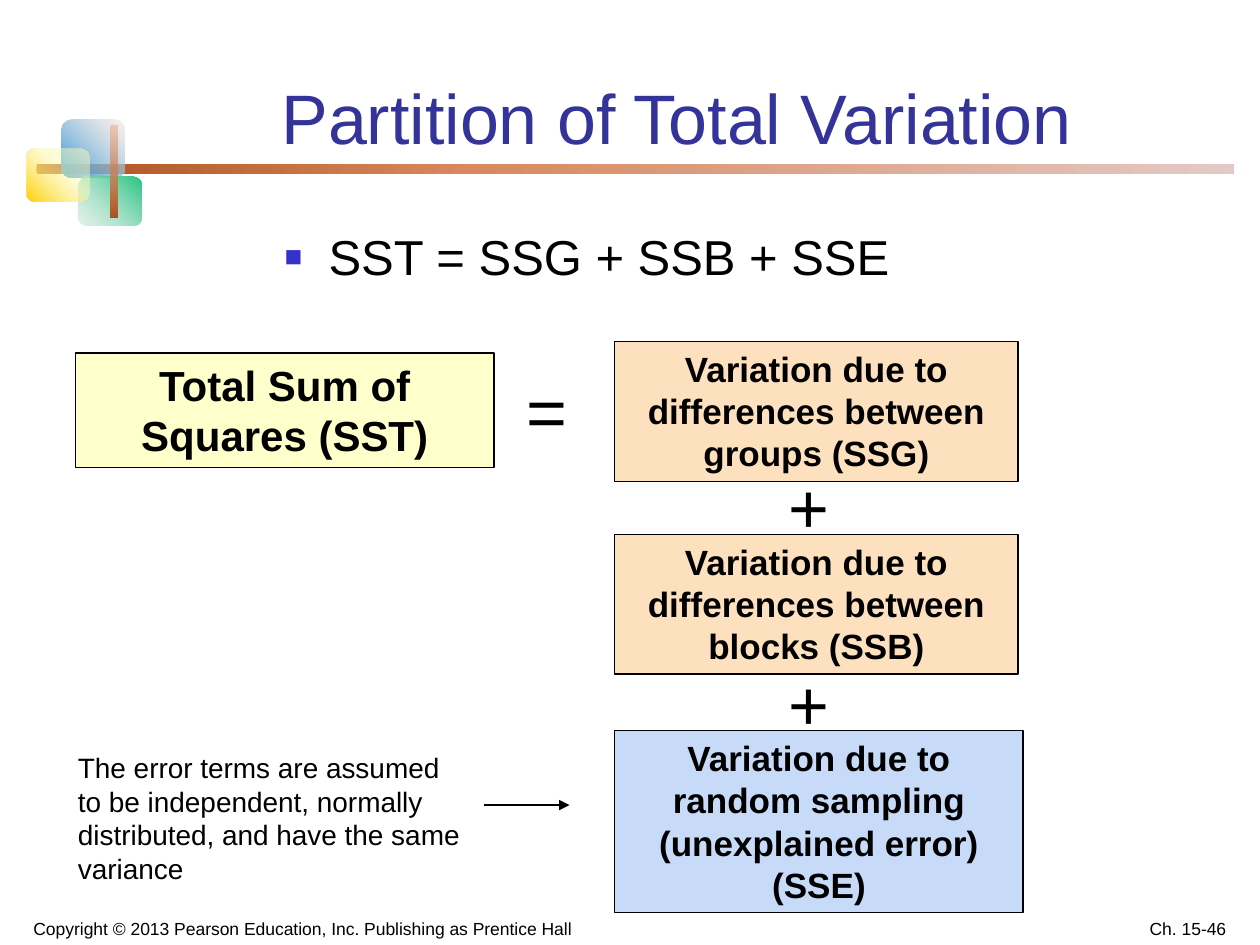
from lxml.etree import SubElement
from pptx import Presentation
from pptx.dml.color import RGBColor
from pptx.enum.shapes import MSO_CONNECTOR, MSO_SHAPE
from pptx.enum.text import MSO_ANCHOR, PP_ALIGN
from pptx.oxml import parse_xml
from pptx.oxml.ns import nsdecls, qn
from pptx.util import Inches, Pt

BLACK = RGBColor(0x00, 0x00, 0x00)
INDIGO = RGBColor(0x33, 0x33, 0x99)
BLUE = RGBColor(0x33, 0x33, 0xCC)
PEACH = RGBColor(0xFD, 0xE0, 0xBD)
SKY = RGBColor(0xC7, 0xDA, 0xF7)
CREAM = RGBColor(0xFF, 0xFF, 0xCC)
RUST = RGBColor(0xAE, 0x51, 0x1E)
CLAY = RGBColor(0xD8, 0x8A, 0x5E)
ROSE = RGBColor(0xE4, 0xC9, 0xC6)
AZURE = RGBColor(0x28, 0x95, 0xD8)
SHELL = RGBColor(0xF7, 0xE2, 0xD9)
GREEN = RGBColor(0x25, 0xC5, 0x80)
MIST = RGBColor(0xCC, 0xE2, 0xD9)
GOLD = RGBColor(0xFF, 0xCF, 0x01)
LEMON = RGBColor(0xFC, 0xFC, 0xBC)
CORAL = RGBColor(0xEA, 0xA7, 0x82)


def place(box):
    return [Inches(n) for n in box]


def write(shape, text, size, color=BLACK, align=PP_ALIGN.LEFT,
          anchor=MSO_ANCHOR.TOP, bold=False):
    frame = shape.text_frame
    frame.text = text
    frame.word_wrap = True
    frame.vertical_anchor = anchor
    para = frame.paragraphs[0]
    para.alignment = align
    font = para.runs[0].font
    font.name = "Arial"
    font.size = Pt(size)
    font.bold = bold
    font.color.rgb = color
    return para


def add_text(slide, box, text, size, **style):
    return write(slide.shapes.add_textbox(*place(box)), text, size, **style)


def add_box(slide, box, text, size, fill, width=0.75):
    shape = slide.shapes.add_shape(MSO_SHAPE.RECTANGLE, *place(box))
    shape.shadow.inherit = False
    shape.fill.solid()
    shape.fill.fore_color.rgb = fill
    shape.line.color.rgb = BLACK
    shape.line.width = Pt(width)
    write(shape, text, size, align=PP_ALIGN.CENTER, bold=True)


def add_blend(group, box, angle, stops):
    shape = group.shapes.add_shape(MSO_SHAPE.ROUNDED_RECTANGLE, *place(box))
    shape.shadow.inherit = False
    shape.line.fill.background()
    grad = parse_xml(f'<a:gradFill {nsdecls("a")} rotWithShape="1"/>')
    items = SubElement(grad, qn("a:gsLst"))
    for pos, color, alpha in stops:
        stop = SubElement(items, qn("a:gs"), pos=str(pos * 1000))
        tint = SubElement(stop, qn("a:srgbClr"), val=str(color))
        if alpha < 100:
            SubElement(tint, qn("a:alpha"), val=str(alpha * 1000))
    SubElement(grad, qn("a:lin"), ang=str(angle * 60000), scaled="0")
    shape._element.spPr.find(qn("a:prstGeom")).addnext(grad)


def add_motif(slide):
    group = slide.shapes.add_group_shape()
    add_blend(group, (0.29, 1.3, 9.5, 0.08), 0,
              [(0, RUST, 100), (37, CLAY, 100), (100, ROSE, 100)])
    tiles = [
        ((0.49, 0.95, 0.5, 0.46), 315, AZURE, 100, SHELL),
        ((0.62, 1.4, 0.5, 0.39), 135, GREEN, 100, MIST),
        ((0.21, 1.18, 0.5, 0.42), 315, GOLD, 63, LEMON),
        ((0.88, 1, 0.05, 0.73), 270, RUST, 100, CORAL),
    ]
    for box, angle, start, pos, end in tiles:
        add_blend(group, box, angle, [(0, start, 100), (pos, end, 50)])


def add_bullet(para):
    props = para._p.get_or_add_pPr()
    props.set("marL", str(Inches(0.35)))
    props.set("indent", str(-Inches(0.35)))
    tint = SubElement(props, qn("a:buClr"))
    SubElement(tint, qn("a:srgbClr"), val=str(BLUE))
    SubElement(props, qn("a:buSzPct"), val="60000")
    SubElement(props, qn("a:buFont"), typeface="Arial")
    SubElement(props, qn("a:buChar"), char="■")


def add_arrow(slide, left, right, y):
    arrow = slide.shapes.add_connector(
        MSO_CONNECTOR.STRAIGHT, *place((left, y, right, y)))
    arrow.line.color.rgb = BLACK
    arrow.line.width = Pt(0.75)
    SubElement(arrow.line._get_or_add_ln(), qn("a:tailEnd"), type="triangle")
    SubElement(arrow._element.spPr, qn("a:effectLst"))


def main():
    deck = Presentation()
    deck.slide_width, deck.slide_height = Inches(10), Inches(7.5)
    slide = deck.slides.add_slide(deck.slide_layouts[6])

    add_motif(slide)
    title = add_text(slide, (1.5, 0.23, 7.74, 1.08),
                     "Partition of Total Variation", 40, color=INDIGO,
                     align=PP_ALIGN.CENTER, anchor=MSO_ANCHOR.BOTTOM)
    title.line_spacing = 1.1
    add_bullet(add_text(slide, (2.16, 1.75, 5.12, 0.56),
                        "SST = SSG + SSB + SSE", 28))

    add_box(slide, (0.6, 2.8, 3.32, 0.91), "Total Sum of Squares (SST)",
            24, CREAM, 1)
    parts = [
        (2.71, 3.2, 1.11, PEACH,
         "Variation due to differences between groups (SSG)"),
        (4.24, 3.2, 1.11, PEACH,
         "Variation due to differences between blocks (SSB)"),
        (5.8, 3.24, 1.44, SKY,
         "Variation due to random sampling (unexplained error) (SSE)"),
    ]
    for top, width, height, fill, text in parts:
        add_box(slide, (4.88, top, width, height), text, 20, fill)
    for left, top, sign in [(4.08, 2.87, "="), (6.16, 3.63, "+"),
                            (6.16, 5.19, "+")]:
        add_text(slide, (left, top, 0.91, 0.76), sign, 40)

    add_text(slide, (0.52, 5.91, 3.28, 1.17),
             "The error terms are assumed to be independent, normally "
             "distributed, and have the same variance", 16)
    add_arrow(slide, 3.84, 4.52, 6.39)

    add_text(slide, (0, 7.15, 4.8, 0.35),
             "Copyright © 2013 Pearson Education, Inc. "
             "Publishing as Prentice Hall", 10,
             align=PP_ALIGN.CENTER, anchor=MSO_ANCHOR.BOTTOM)
    add_text(slide, (7.5, 7.15, 2.33, 0.35), "Ch. 15-46", 10,
             align=PP_ALIGN.RIGHT, anchor=MSO_ANCHOR.BOTTOM)
    deck.save("out.pptx")


if __name__ == "__main__":
    main()
